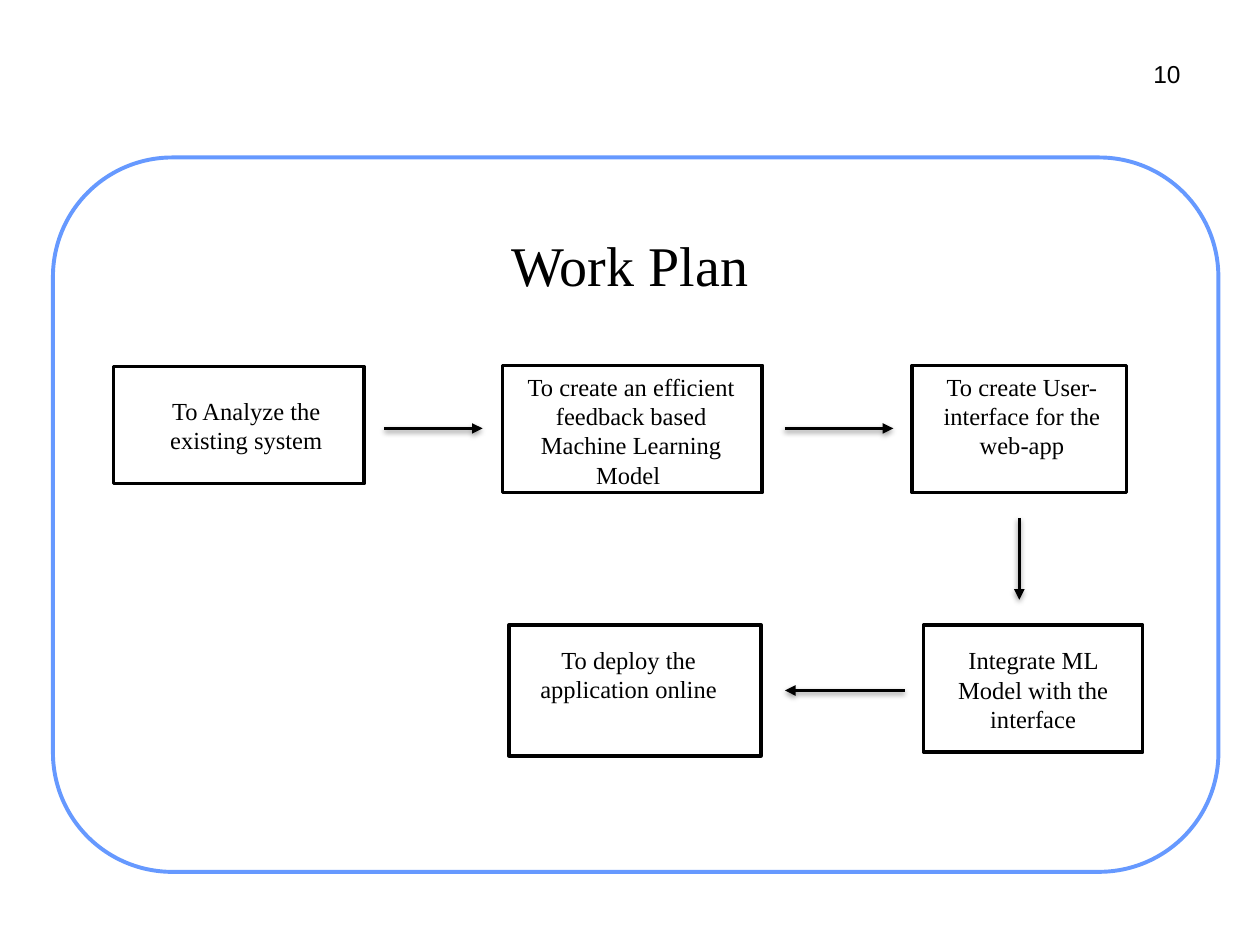
from lxml import etree
from pptx import Presentation, util as u
from pptx.dml.color import RGBColor
from pptx.enum import shapes, text
from pptx.oxml import parse_xml
from pptx.oxml.ns import qn

SERIF, SANS = "Times New Roman", "Arial"
BLACK, WHITE, BLUE = "000000", "FFFFFF", "6699FF"
PAD = 0.05

TITLE = "Work Plan "
PAGE_NUMBER = "10"

# wording, box (left, top, width, height), text insets (left, top, right)
STEPS = [
    ("To Analyze the existing system", (0.9, 2.91, 1.99, 0.93), (0.21, 0.23, 0.09)),
    ("To create an efficient feedback based Machine Learning Model ",
     (3.99, 2.9, 2.06, 1.01), (0.07, PAD, 0.09)),
    ("To create User-interface for the web-app", (7.24, 2.9, 1.7, 1.01), (0.14, PAD, 0.1)),
    ("Integrate ML Model with the interface", (7.33, 4.96, 1.74, 1.01), (0.1, 0.16, 0.1)),
    ("To deploy the application online", (4.04, 4.96, 2, 1.04), (0.15, 0.16, 0.25)),
]

# start x, start y, end x, end y: one arrow from each step to the next
TOP_ROW, BOTTOM_ROW, RIGHT_COLUMN = 3.4, 5.48, 8.09
ARROWS = [
    (3.05, TOP_ROW, 3.83, TOP_ROW),
    (6.23, TOP_ROW, 7.09, TOP_ROW),
    (RIGHT_COLUMN, 4.11, RIGHT_COLUMN, 4.76),
    (7.18, BOTTOM_ROW, 6.23, BOTTOM_ROW),
]

ARROW_SHADOW = (
    '<a:effectLst xmlns:a="http://schemas.openxmlformats.org/drawingml/2006/main">'
    '<a:outerShdw blurRad="38100" dist="20320" dir="5400000" rotWithShape="0">'
    '<a:srgbClr val="000000"><a:alpha val="38000"/></a:srgbClr>'
    '</a:outerShdw></a:effectLst>'
)


def color(value):
    return RGBColor.from_string(value)


def inches(values):
    return [u.Inches(value) for value in values]


def write(holder, wording, size, font=SERIF, align=text.PP_ALIGN.CENTER,
          insets=(PAD, PAD, PAD), anchor=text.MSO_ANCHOR.TOP):
    frame = holder.text_frame
    frame.word_wrap = True
    frame.auto_size = text.MSO_AUTO_SIZE.NONE
    frame.vertical_anchor = anchor
    frame.margin_left, frame.margin_top, frame.margin_right = inches(insets)
    frame.margin_bottom = u.Inches(PAD)
    paragraph = frame.paragraphs[0]
    paragraph.text = wording
    paragraph.alignment = align
    paragraph.font.name = font
    paragraph.font.size = u.Pt(size)
    paragraph.font.color.rgb = color(BLACK)


def add_box(slide, kind, place, line, width):
    box = slide.shapes.add_shape(kind, *inches(place))
    box.shadow.inherit = False
    box.fill.solid()
    box.fill.fore_color.rgb = color(WHITE)
    box.line.color.rgb = color(line)
    box.line.width = u.Pt(width)
    return box


def add_arrow(slide, ends):
    arrow = slide.shapes.add_connector(shapes.MSO_CONNECTOR.STRAIGHT, *inches(ends))
    arrow.line.color.rgb = color(BLACK)
    arrow.line.width = u.Pt(2)
    outline = arrow.line._get_or_add_ln()
    etree.SubElement(outline, qn("a:tailEnd"), type="triangle")
    outline.addnext(parse_xml(ARROW_SHADOW))


def main():
    deck = Presentation()
    deck.slide_width, deck.slide_height = inches((10, 7.5))
    slide = deck.slides.add_slide(deck.slide_layouts[5])

    panel = add_box(slide, shapes.MSO_SHAPE.ROUNDED_RECTANGLE,
                    (0.42, 1.25, 9.25, 5.67), BLUE, 2.25)
    panel.adjustments[0] = 0.167

    title = slide.shapes.title
    title.left, title.top, title.width, title.height = inches((1.02, 1.48, 8.07, 1.24))
    write(title, TITLE, 32, anchor=text.MSO_ANCHOR.MIDDLE)
    panel._element.addnext(title._element)  # bring the title in front of the panel

    for wording, place, insets in STEPS:
        step = add_box(slide, shapes.MSO_SHAPE.RECTANGLE, place, BLACK, 2)
        write(step, wording, 14, insets=insets)

    for ends in ARROWS:
        add_arrow(slide, ends)

    number = slide.shapes.add_textbox(*inches((9.1, 0.42, 0.32, 0.34)))
    write(number, PAGE_NUMBER, 14, SANS, text.PP_ALIGN.RIGHT)

    deck.save("out.pptx")


if __name__ == "__main__":
    main()
